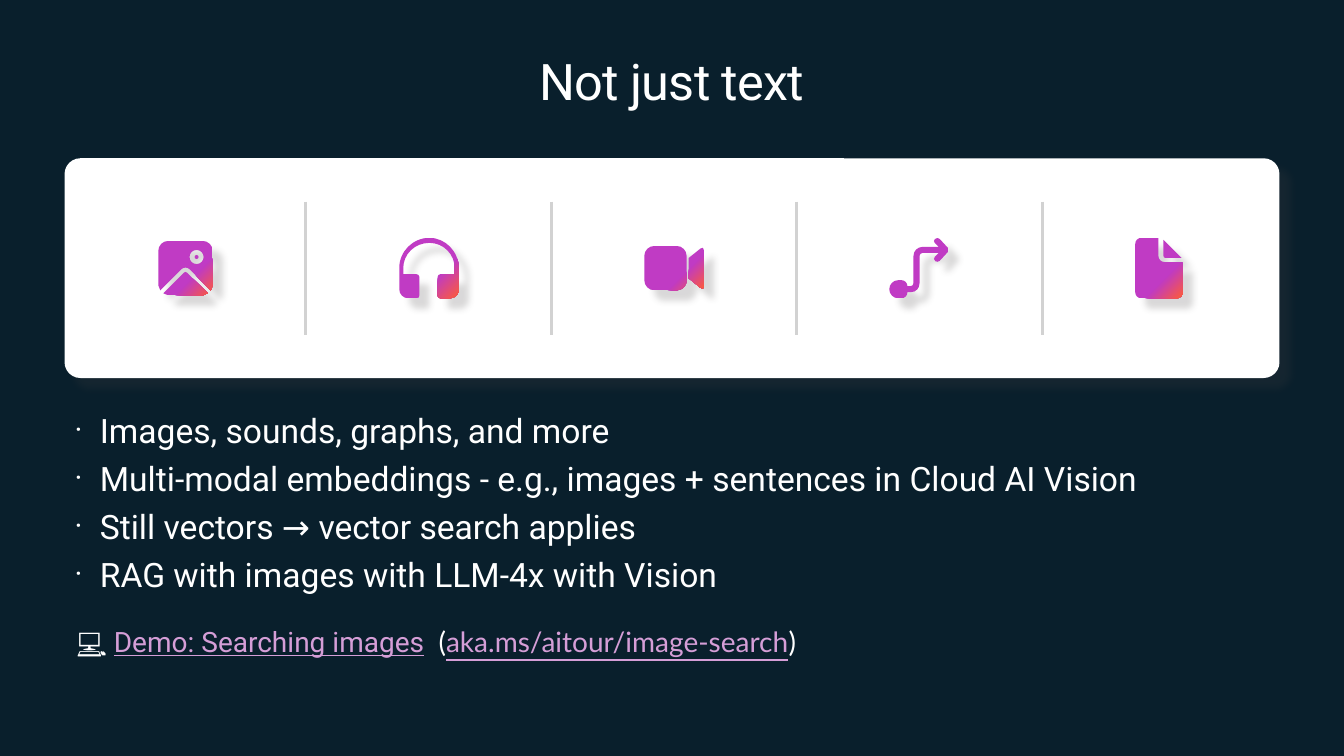
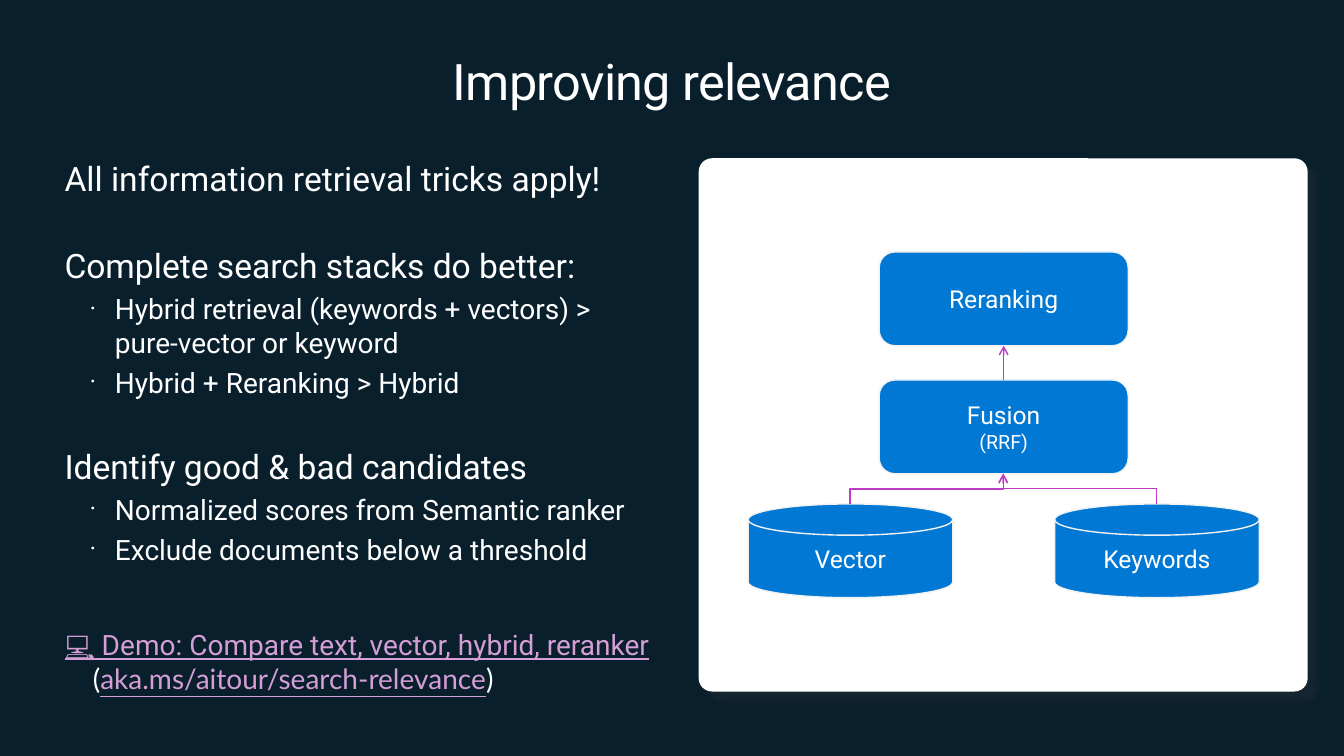
from math import hypot

from lxml import etree
from pptx import Presentation
from pptx.dml.color import RGBColor
from pptx.enum.shapes import MSO_CONNECTOR as CONN, MSO_SHAPE as SHAPE
from pptx.enum.text import MSO_ANCHOR as ANCHOR, PP_ALIGN as ALIGN
from pptx.oxml import parse_xml
from pptx.oxml.ns import nsdecls, qn
from pptx.util import Inches, Pt

# Shared style
NAVY, WHITE, BLUE = "091F2C", "FFFFFF", "0078D4"
PURPLE, ORANGE, LINK = "C03BC4", "FF5C39", "D59ED7"
RULE, EDGE, SHADOW = "D2D2D2", "F2F2F2", "454142"
FONT, LINK_FONT = "Roboto", "Lato"
TOP, LEFT = 1.57, 0.64
HEAD_GAP, ITEM_GAP, SUB_GAP = 33.2, 5.5, 4.6


def rgb(value):
    return RGBColor.from_string(value)


# Text
def add_run(p, text, size, color=WHITE, font=FONT, underline=False):
    r = p.add_run()
    r.text = text
    r.font.size, r.font.name = Pt(size), font
    r.font.color.rgb = rgb(color)
    if underline:
        r.font.underline = True
    return r


def add_link(p, text, font=FONT):
    add_run(p, text, 20, LINK, font, True)


def add_address(p, text):
    """Web address in round brackets."""
    add_run(p, "(", 20, font=LINK_FONT)
    add_link(p, text, LINK_FONT)
    add_run(p, ")", 20, font=LINK_FONT)


def set_bullet(p, indent):
    pPr = p._p.get_or_add_pPr()
    pPr.set("marL", str(Inches(indent)))
    pPr.set("indent", str(-Inches(0.25)))
    etree.SubElement(pPr, qn("a:buSzPct")).set("val", "90000")
    etree.SubElement(pPr, qn("a:buFont")).set("typeface", FONT)
    etree.SubElement(pPr, qn("a:buChar")).set("char", "·")


def set_tab(p, pos):
    tabs = etree.SubElement(p._p.get_or_add_pPr(), qn("a:tabLst"))
    tab = etree.SubElement(tabs, qn("a:tab"))
    tab.set("pos", str(Inches(pos)))
    tab.set("algn", "l")


def add_text(slide, x, y, w, h):
    tf = slide.shapes.add_textbox(Inches(x), Inches(y), Inches(w), Inches(h)).text_frame
    tf.word_wrap = True
    tf.margin_left = tf.margin_right = tf.margin_top = tf.margin_bottom = 0
    return tf


def add_list(slide, box, items):
    """Items are (text, size, bullet indent or 0, space before)."""
    tf = add_text(slide, *box)
    for i, (text, size, indent, gap) in enumerate(items):
        p = tf.add_paragraph() if i else tf.paragraphs[0]
        if indent:
            set_bullet(p, indent)
        if i:
            p.space_before = Pt(gap)
        add_run(p, text, size)


def new_slide(prs, title):
    slide = prs.slides.add_slide(prs.slide_layouts[6])
    fill = slide.background.fill
    fill.solid()
    fill.fore_color.rgb = rgb(NAVY)
    p = add_text(slide, LEFT, 0.5, 12.05, 0.61).paragraphs[0]
    p.alignment = ALIGN.CENTER
    add_run(p, title, 36)._r.get_or_add_rPr().set("spc", "-50")
    return slide


# Shapes
def cast_shadow(sp):
    sp.shadow.inherit = False
    effects = sp._element.spPr.find(qn("a:effectLst"))
    effects.append(parse_xml(
        f'<a:outerShdw {nsdecls("a")} blurRad="{Pt(5)}" dist="{Pt(10)}" dir="2700000" '
        f'algn="tl" rotWithShape="0"><a:srgbClr val="{SHADOW}"><a:alpha val="20000"/>'
        '</a:srgbClr></a:outerShdw>'))


def add_shape(slide, kind, x, y, w, h, fill):
    sp = slide.shapes.add_shape(kind, Inches(x), Inches(y), Inches(w), Inches(h))
    sp.shadow.inherit = False
    sp.fill.solid()
    sp.fill.fore_color.rgb = rgb(fill)
    return sp


def add_panel(slide, x, w, h, rounding):
    sp = add_shape(slide, SHAPE.ROUNDED_RECTANGLE, x, TOP, w, h, WHITE)
    sp.adjustments[0] = rounding
    sp.line.fill.background()
    cast_shadow(sp)


def add_node(slide, kind, x, y, w, label, note=None):
    sp = add_shape(slide, kind, x, y, w, 0.93, BLUE)
    sp.line.color.rgb, sp.line.width = rgb(EDGE), Pt(1)
    tf = sp.text_frame
    tf.word_wrap, tf.vertical_anchor = True, ANCHOR.MIDDLE
    p = tf.paragraphs[0]
    p.alignment = ALIGN.CENTER
    add_run(p, label, 17.6)
    if note:
        p.add_line_break()
        add_run(p, note, 14)
    return sp


def add_line(slide, start, end, color, width, kind=CONN.STRAIGHT, arrow=False):
    line = slide.shapes.add_connector(kind, *map(Inches, start + end))
    line.line.color.rgb, line.line.width = rgb(color), Pt(width)
    if arrow:
        etree.SubElement(line.line._get_or_add_ln(), qn("a:tailEnd")).set("type", "arrow")
    etree.SubElement(line._element.spPr, qn("a:effectLst"))
    return line


def add_elbow_up(slide, start, end):
    """Up, across and up again: a sideways elbow turned by a quarter."""
    (x0, y0), (x1, y1) = start, end
    cx, cy = (x0 + x1) / 2, (y0 + y1) / 2
    across, rise = abs(x1 - x0) / 2, (y0 - y1) / 2
    side, turn = (1, 90) if x0 < x1 else (-1, 270)
    line = add_line(slide, (cx + side * rise, cy + across), (cx - side * rise, cy - across),
                    PURPLE, 1, CONN.ELBOW, True)
    line._element.spPr.find(qn("a:xfrm")).set("rot", str(turn * 60000))


# Icon outlines: corners (x, y) or (x, y, radius), in inches on the slide
def square(x, y, size, radius):
    return [(x, y, radius), (x + size, y, radius),
            (x + size, y + size, radius), (x, y + size, radius)]


def circle(cx, cy, radius):
    return square(cx - radius, cy - radius, 2 * radius, radius)


PICTURE = [
    [(1.57, 2.39, 0.1), (2.11, 2.39, 0.1), (2.11, 2.83), (2.09, 2.88),
     (1.84, 2.63, 0.06), (1.59, 2.88), (1.57, 2.83)],
    [(1.84, 2.69, 0.02), (2.06, 2.91), (2.01, 2.93), (1.67, 2.93), (1.62, 2.91)],
    circle(1.95, 2.55, 0.07),
    circle(1.95, 2.55, 0.02),
]
HEADPHONES = [[
    (3.96, 2.36, 0.3), (4.55, 2.36, 0.3), (4.55, 2.96, 0.09), (4.34, 2.96, 0.03),
    (4.34, 2.72, 0.03), (4.51, 2.72), (4.51, 2.41, 0.25), (4, 2.41, 0.25), (4, 2.72),
    (4.16, 2.72, 0.03), (4.16, 2.96, 0.03), (3.96, 2.96, 0.09)]]
CAMERA = [
    [(6.39, 2.44, 0.1), (6.81, 2.44, 0.1), (6.81, 2.88, 0.1), (6.39, 2.88, 0.1)],
    [(6.83, 2.56), (6.98, 2.44, 0.04), (6.98, 2.88, 0.04), (6.83, 2.76)],
]
ROUTE = [[
    (9, 2.9), (9, 2.96, 0.06), (8.82, 2.96, 0.09), (8.82, 2.78, 0.09), (9, 2.78, 0.06),
    (9, 2.84), (9.06, 2.84, 0.03), (9.06, 2.45, 0.09), (9.31, 2.45), (9.25, 2.39, 0.03),
    (9.3, 2.35, 0.03), (9.42, 2.48, 0.03), (9.3, 2.61, 0.03), (9.25, 2.57, 0.03),
    (9.31, 2.51), (9.12, 2.51, 0.03), (9.12, 2.9, 0.09)]]
DOCUMENT = [
    [(11.54, 2.38), (11.72, 2.56), (11.54, 2.56, 0.02)],
    [(11.26, 2.36, 0.06), (11.49, 2.36), (11.49, 2.6, 0.06), (11.73, 2.6),
     (11.73, 2.96, 0.06), (11.26, 2.96, 0.06)],
]


def toward(a, b, share):
    return a[0] + (b[0] - a[0]) * share, a[1] + (b[1] - a[1]) * share


def trace(corners):
    """Start point and segments: one point for a line, three for a curve."""
    segments = []
    for i, (x, y, *radius) in enumerate(corners):
        corner = (x, y)
        if not radius:
            segments.append([corner])
            continue
        a, b = [toward(corner, n, radius[0] / hypot(n[0] - x, n[1] - y))
                for n in (corners[i - 1], corners[(i + 1) % len(corners)])]
        if not segments or hypot(segments[-1][-1][0] - a[0], segments[-1][-1][1] - a[1]) > 0.01:
            segments.append([a])
        segments.append([toward(a, corner, 0.55), toward(b, corner, 0.55), b])
    return segments[0][0], segments[1:]


def add_icon(slide, outlines):
    builder, sizes = None, []
    for start, segments in map(trace, outlines):
        first = tuple(map(Inches, start))
        if builder is None:
            builder = slide.shapes.build_freeform(*first)
        else:
            builder.move_to(*first)
        builder.add_line_segments([tuple(map(Inches, pt)) for s in segments for pt in s])
        sizes += [len(s) for s in segments]
    sp = builder.convert_to_shape()
    spPr = sp._element.spPr
    steps = iter(list(spPr.iter(qn("a:lnTo"))))
    for size in sizes:
        step, *others = [next(steps) for _ in range(size)]
        if others:
            curve = etree.Element(qn("a:cubicBezTo"))
            step.addprevious(curve)
            for old in (step, *others):
                curve.append(old[0])
                old.getparent().remove(old)
    sp.line.fill.background()
    sp.fill.background()
    spPr.replace(spPr.find(qn("a:noFill")), parse_xml(
        f'<a:gradFill {nsdecls("a")} rotWithShape="1"><a:gsLst>'
        f'<a:gs pos="0"><a:srgbClr val="{ORANGE}"/></a:gs>'
        f'<a:gs pos="35000"><a:srgbClr val="{PURPLE}"/></a:gs></a:gsLst>'
        '<a:path path="circle"><a:fillToRect l="100000" t="100000"/></a:path></a:gradFill>'))
    cast_shadow(sp)


# Slides
def build_modalities(prs):
    slide = new_slide(prs, "Not just text")
    add_panel(slide, LEFT, 12.05, 2.18, 0.072)
    for icon in (PICTURE, HEADPHONES, CAMERA, ROUTE, DOCUMENT):
        add_icon(slide, icon)
    for i in range(4):
        x = 3.03 + (10.34 - 3.03) / 3 * i
        add_line(slide, (x, 2), (x, 3.32), RULE, 2.25)
    lines = ("Images, sounds, graphs, and more",
             "Multi-modal embeddings - e.g., images + sentences in Cloud AI Vision",
             "Still vectors → vector search applies",
             "RAG with images with LLM-4x with Vision")
    add_list(slide, (0.74, 4.07, 12.22, 1.88), [(text, 24, 0.25, ITEM_GAP) for text in lines])
    p = add_text(slide, 0.76, 6.2, 11.64, 0.34).paragraphs[0]
    set_tab(p, 3.59)
    add_run(p, "💻 ", 20)
    add_link(p, "Demo: Searching images")
    add_run(p, "\t", 20)
    add_address(p, "aka.ms/aitour/image-search")


def build_relevance(prs):
    slide = new_slide(prs, "Improving relevance")
    add_panel(slide, 6.93, 6.04, 5.29, 0.025)
    add_list(slide, (LEFT, TOP, 5.6, 4.54), [
        ("All information retrieval tricks apply!", 24, 0, 0),
        ("Complete search stacks do better:", 24, 0, HEAD_GAP),
        ("Hybrid retrieval (keywords + vectors) > pure-vector or keyword", 20, 0.5, SUB_GAP),
        ("Hybrid + Reranking > Hybrid", 20, 0.5, SUB_GAP),
        ("Identify good & bad candidates", 24, 0, HEAD_GAP),
        ("Normalized scores from Semantic ranker", 20, 0.5, SUB_GAP),
        ("Exclude documents below a threshold", 20, 0.5, SUB_GAP),
    ])

    # Retrieval stack, from the stores up
    for x, label in ((7.42, "Vector"), (10.46, "Keywords")):
        add_node(slide, SHAPE.FLOWCHART_MAGNETIC_DISK, x, 5, 2.03, label)
    fusion = add_node(slide, SHAPE.ROUNDED_RECTANGLE, 8.72, 3.77, 2.47, "Fusion", "(RRF)")
    reranking = add_node(slide, SHAPE.ROUNDED_RECTANGLE, 8.72, 2.5, 2.47, "Reranking")
    up = add_line(slide, (9.95, 3.77), (9.95, 3.43), PURPLE, 1, arrow=True)
    up.begin_connect(fusion, 0)
    up.end_connect(reranking, 2)
    for x in (8.43, 11.47):
        add_elbow_up(slide, (x, 5), (9.95, 4.7))

    tf = add_text(slide, LEFT, 6.23, 6.18, 1.01)
    add_link(tf.paragraphs[0], "💻 Demo: Compare text, vector, hybrid, reranker")
    p = tf.add_paragraph()
    p._p.get_or_add_pPr().set("marL", str(Inches(0.28)))
    add_address(p, "aka.ms/aitour/search-relevance")


def main():
    prs = Presentation()
    prs.slide_width, prs.slide_height = Inches(13.33), Inches(7.5)
    build_modalities(prs)
    build_relevance(prs)
    prs.save("out.pptx")


if __name__ == "__main__":
    main()
